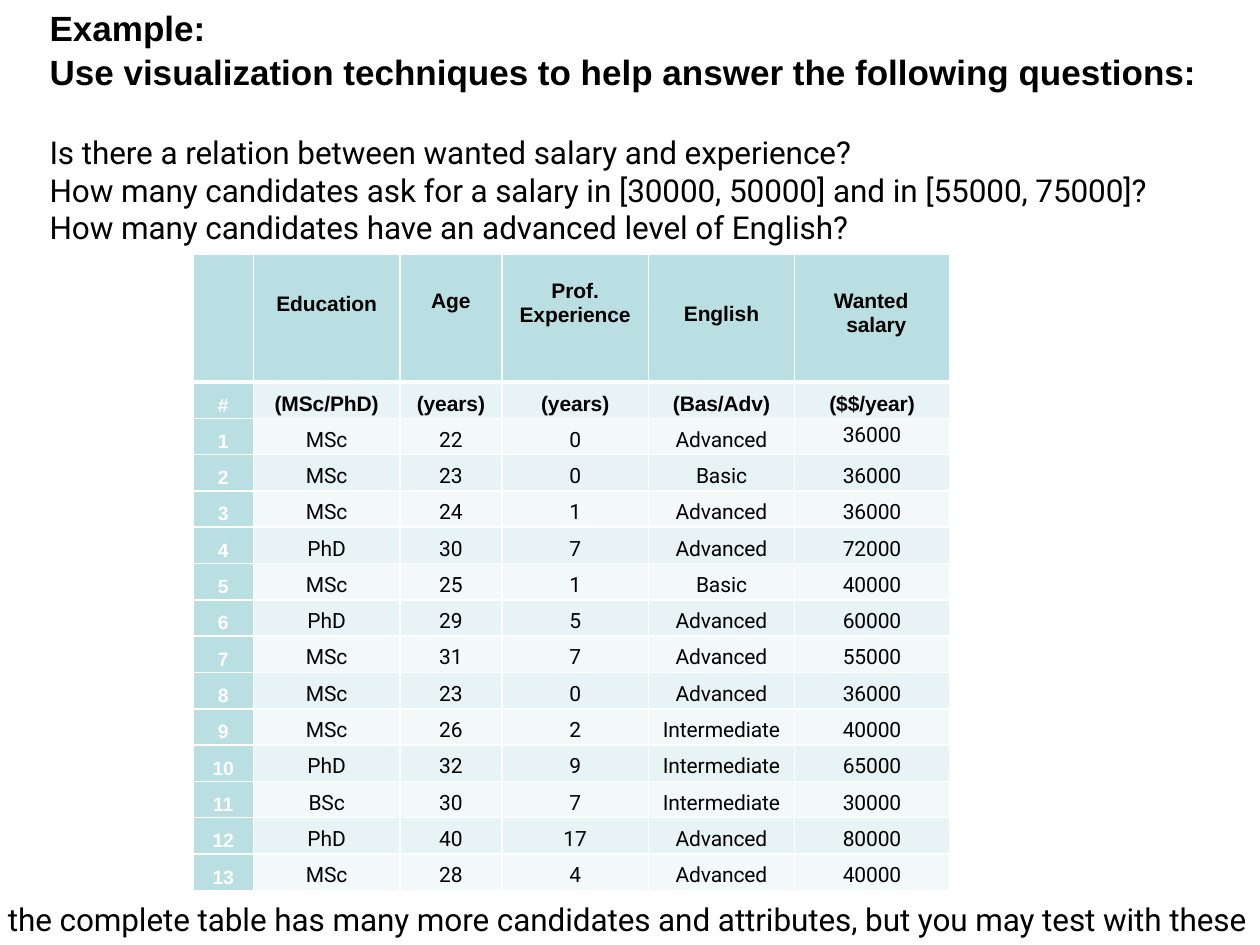
import pptx
import pptx.dml.color
import pptx.enum.text
import pptx.oxml.ns
import pptx.util
from lxml import etree

Cm = pptx.util.Cm
Pt = pptx.util.Pt
ALIGN = pptx.enum.text.PP_ALIGN
BLACK = pptx.dml.color.RGBColor(0x00, 0x00, 0x00)
WHITE = pptx.dml.color.RGBColor(0xFF, 0xFF, 0xFF)
TEAL = pptx.dml.color.RGBColor(0xBA, 0xDF, 0xE2)
BAND_DARK = pptx.dml.color.RGBColor(0xE7, 0xF3, 0xF4)
BAND_LIGHT = pptx.dml.color.RGBColor(0xF3, 0xF8, 0xF9)
HEADING_FONT, BODY_FONT = "Arial", "Roboto"

TITLE = ["Example:",
         "Use visualization techniques to help answer the following questions:"]
QUESTIONS = [
    "Is there a relation between wanted salary and experience?",
    "How many candidates ask for a salary in [30000, 50000] and in [55000, 75000]?",
    "How many candidates have an advanced level of English?",
]
FOOTNOTE = ["the complete table has many more candidates and attributes, "
            "but you may test with these"]

COLUMN_WIDTHS = [1.22, 2.95, 2.06, 2.95, 2.95, 3.12]
HEADER_HEIGHT = 2.57
# Each heading: its lines and its distance from the top of the cell in cm
HEADINGS = [
    ([], 0),
    (["Education"], 0.76),
    (["Age"], 0.71),
    (["Prof.", "Experience"], 0.51),
    (["English"], 0.96),
    (["Wanted salary"], 0.71),
]
UNITS = ["#", "(MSc/PhD)", "(years)", "(years)", "(Bas/Adv)", "($$/year)"]
CANDIDATES = [
    ("MSc", 22, 0, "Advanced", 36000),
    ("MSc", 23, 0, "Basic", 36000),
    ("MSc", 24, 1, "Advanced", 36000),
    ("PhD", 30, 7, "Advanced", 72000),
    ("MSc", 25, 1, "Basic", 40000),
    ("PhD", 29, 5, "Advanced", 60000),
    ("MSc", 31, 7, "Advanced", 55000),
    ("MSc", 23, 0, "Advanced", 36000),
    ("MSc", 26, 2, "Intermediate", 40000),
    ("PhD", 32, 9, "Intermediate", 65000),
    ("BSc", 30, 7, "Intermediate", 30000),
    ("PhD", 40, 17, "Advanced", 80000),
    ("MSc", 28, 4, "Advanced", 40000),
]


def write(frame, lines, font, size, color=BLACK, bold=False,
          align=ALIGN.LEFT, pitch=None, tracking=-0.05):
    """Fill a text frame with one paragraph per line; tracking is in points."""
    for index, line in enumerate(lines):
        para = frame.add_paragraph() if index else frame.paragraphs[0]
        para.alignment = align
        if pitch:
            para.line_spacing = Pt(pitch)
        span = para.add_run()
        span.text = line
        span.font.name, span.font.size = font, Pt(size)
        span.font.bold = bold
        span.font.color.rgb = color
        span.font._element.set("spc", str(round(tracking * 100)))


def fit_frame(frame):
    frame.word_wrap = True
    frame.auto_size = pptx.enum.text.MSO_AUTO_SIZE.NONE
    frame.vertical_anchor = pptx.enum.text.MSO_ANCHOR.TOP
    frame.margin_left, frame.margin_top = Cm(0.03), Cm(0.08)
    frame.margin_right = frame.margin_bottom = 0


def place_title(page, left, top, width, height):
    title = page.shapes.title
    title.left, title.top, title.width, title.height = map(
        Cm, (left, top, width, height))
    fit_frame(title.text_frame)
    write(title.text_frame, TITLE, HEADING_FONT, 20, bold=True, tracking=0)
    title.text_frame.paragraphs[1].space_before = Pt(1)


def add_text(page, lines, left, top, width, height):
    box = page.shapes.add_textbox(*map(Cm, (left, top, width, height)))
    fit_frame(box.text_frame)
    write(box.text_frame, lines, BODY_FONT, 18)


def style_cell(cell, fill, margin_top, rule_top=1, rule_bottom=1):
    """Set margins, white rules (widths in points) and fill."""
    cell.margin_left = cell.margin_right = cell.margin_bottom = 0
    cell.margin_top = Cm(margin_top)
    props = cell._tc.get_or_add_tcPr()
    qn = pptx.oxml.ns.qn
    for side, weight in (("L", 1), ("R", 1), ("T", rule_top), ("B", rule_bottom)):
        rule = etree.SubElement(props, qn("a:ln" + side), w=str(Pt(weight)))
        paint = etree.SubElement(rule, qn("a:solidFill"))
        etree.SubElement(paint, qn("a:srgbClr"), val=str(WHITE))
    cell.fill.solid()
    cell.fill.fore_color.rgb = fill


def add_headings(table):
    for column, (lines, margin_top) in enumerate(HEADINGS):
        cell = table.cell(0, column)
        style_cell(cell, TEAL, margin_top, rule_bottom=3)
        write(cell.text_frame, lines, HEADING_FONT, 12, bold=True,
              align=ALIGN.CENTER)
    salary = table.cell(0, len(HEADINGS) - 1).text_frame.paragraphs[0]
    salary.alignment = ALIGN.LEFT
    props = salary._p.get_or_add_pPr()
    props.set("marL", str(Cm(1.04)))
    props.set("indent", str(Cm(-0.25)))


def add_candidates(page, left, top, width, height):
    rows = [UNITS] + [(number, *values)
                      for number, values in enumerate(CANDIDATES, 1)]
    frame = page.shapes.add_table(len(rows) + 1, len(COLUMN_WIDTHS),
                                  *map(Cm, (left, top, width, height)))
    table = frame.table
    table.first_row = table.horz_banding = False
    for column, column_width in zip(table.columns, COLUMN_WIDTHS):
        column.width = Cm(column_width)
    for row in table.rows:
        row.height = Cm((height - HEADER_HEIGHT) / len(rows))
    table.rows[0].height = Cm(HEADER_HEIGHT)

    add_headings(table)
    for row, values in enumerate(rows, 1):
        is_units = row == 1
        band = BAND_LIGHT if row % 2 == 0 else BAND_DARK
        rule_top = 3 if is_units else 1
        for column, value in enumerate(values):
            cell = table.cell(row, column)
            if column == 0:
                style_cell(cell, TEAL, 0.25, rule_top)
                write(cell.text_frame, [str(value)], HEADING_FONT, 11, WHITE,
                      True, ALIGN.CENTER, 12.4)
            else:
                style_cell(cell, band, 0.2, rule_top)
                write(cell.text_frame, [str(value)],
                      HEADING_FONT if is_units else BODY_FONT, 12,
                      bold=is_units, align=ALIGN.CENTER, pitch=13.7)
    # The first salary sits a little higher than the others
    first_salary = table.cell(2, len(COLUMN_WIDTHS) - 1)
    first_salary.margin_top = Cm(0.1)
    first_salary.text_frame.paragraphs[0].line_spacing = None


def main():
    deck = pptx.Presentation()
    deck.slide_width, deck.slide_height = Cm(25.4), Cm(19.05)
    page = deck.slides.add_slide(deck.slide_layouts.get_by_name("Title Only"))
    place_title(page, 0.97, 0.05, 23.5, 1.78)
    add_text(page, QUESTIONS, 0.97, 2.6, 22.53, 2.36)
    add_candidates(page, 3.89, 5.13, sum(COLUMN_WIDTHS), 12.83)
    add_text(page, FOOTNOTE, 0.13, 18.06, 25.2, 0.84)
    deck.save("out.pptx")


if __name__ == "__main__":
    main()
